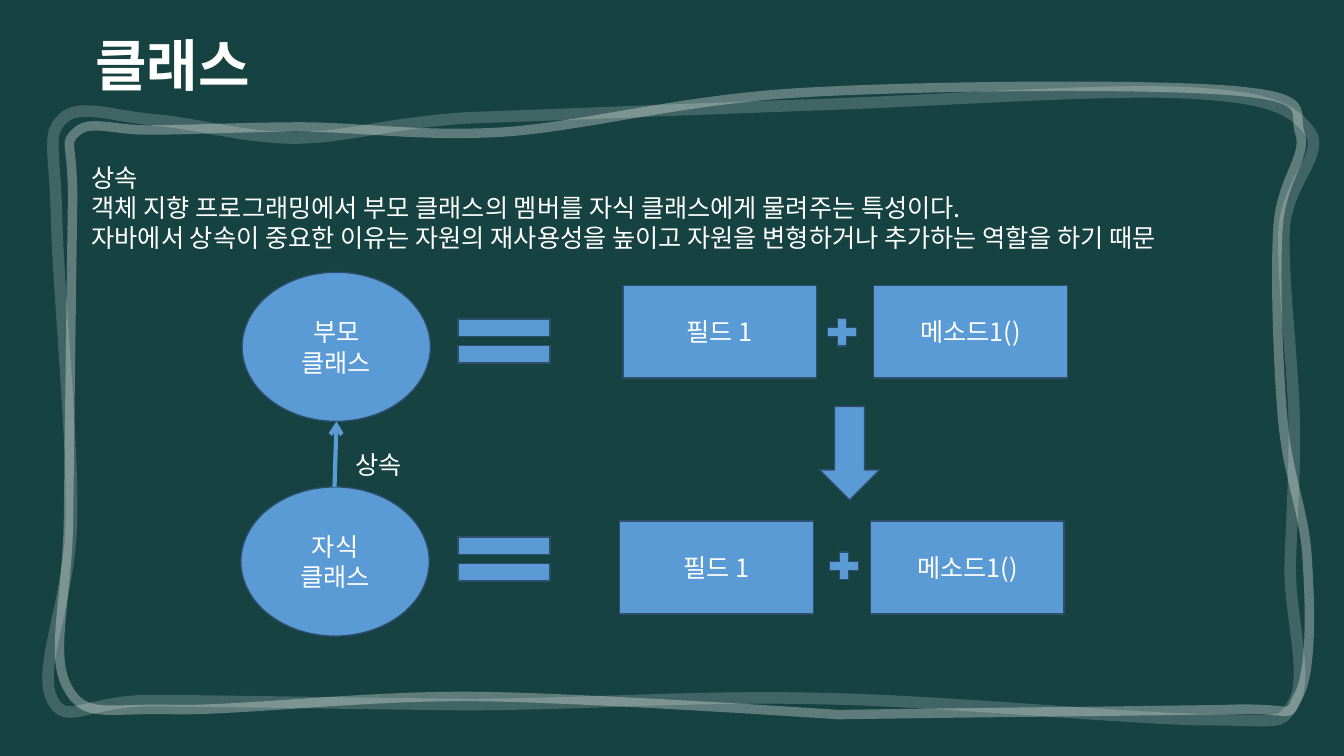
from lxml.etree import SubElement
from pptx import Presentation
from pptx.dml.color import RGBColor
from pptx.enum.shapes import MSO_CONNECTOR as Connector, MSO_SHAPE as Shape
from pptx.enum.text import MSO_ANCHOR as Anchor, MSO_AUTO_SIZE as AutoSize, PP_ALIGN as Align
from pptx.oxml.ns import qn
from pptx.util import Cm, Pt

BOARD = RGBColor(0x16, 0x42, 0x41)
WHITE = RGBColor(0xFF, 0xFF, 0xFF)
BLUE = RGBColor(0x5B, 0x9B, 0xD5)
EDGE = RGBColor(0x2D, 0x4D, 0x6A)
FONT = "Noto Sans CJK KR"

# Frame strokes in hundredths of an inch: a start point, then three points per curve.
INNER_FRAME = [
    (151, 129),
    (114, 130), (89, 118), (76, 131), (62, 143), (73, 140), (72, 204),
    (71, 268), (69, 434), (68, 514), (67, 594), (49, 650), (67, 682),
    (84, 714), (106, 702), (173, 704), (240, 705), (361, 690), (471, 691),
    (580, 692), (832, 709), (832, 709), (960, 707), (1087, 706), (1215, 704),
    (1291, 701), (1275, 716), (1288, 691), (1302, 666), (1300, 600), (1297, 555),
    (1295, 510), (1278, 474), (1273, 419), (1268, 364), (1265, 273), (1268, 226),
    (1271, 178), (1297, 156), (1290, 133), (1282, 111), (1306, 97), (1223, 90),
    (1141, 83), (915, 85), (795, 92), (674, 99), (583, 125), (500, 131),
    (417, 136), (357, 126), (299, 126), (240, 126), (188, 129), (151, 129),
]
OUTER_FRAME = [
    (154, 119),
    (115, 116), (79, 102), (63, 117), (46, 133), (54, 145), (56, 211),
    (57, 276), (72, 430), (71, 510), (71, 591), (37, 661), (51, 692),
    (64, 723), (86, 694), (154, 695), (257, 696), (359, 698), (462, 699),
    (572, 699), (690, 690), (812, 693), (934, 695), (1117, 713), (1196, 714),
    (1274, 714), (1270, 721), (1284, 696), (1298, 671), (1280, 611), (1280, 565),
    (1281, 519), (1285, 474), (1284, 417), (1283, 361), (1272, 276), (1274, 228),
    (1277, 180), (1316, 152), (1299, 130), (1282, 107), (1257, 96), (1175, 92),
    (1093, 88), (930, 100), (808, 104), (693, 108), (577, 113), (462, 117),
    (379, 123), (346, 136), (294, 137), (243, 137), (192, 122), (154, 119),
]


def write(frame, lines, size=18, bold=False, align=None, spacing=None):
    for i, line in enumerate(lines):
        paragraph = frame.paragraphs[0] if i == 0 else frame.add_paragraph()
        paragraph.alignment = align
        paragraph.line_spacing = spacing
        run = paragraph.add_run()
        run.text = line
        run.font.size = Pt(size)
        run.font.bold = bold
        run.font.name = FONT
        run.font.color.rgb = WHITE
        SubElement(run.font._element, qn("a:ea"), typeface=FONT)


def add_text(slide, left, top, width, height, lines, wrap=True, **style):
    frame = slide.shapes.add_textbox(Cm(left), Cm(top), Cm(width), Cm(height)).text_frame
    frame.word_wrap = wrap
    frame.auto_size = AutoSize.SHAPE_TO_FIT_TEXT
    write(frame, lines, **style)


def add_block(slide, kind, left, top, width, height, lines=(), adjustments=()):
    block = slide.shapes.add_shape(kind, Cm(left), Cm(top), Cm(width), Cm(height))
    block.shadow.inherit = False
    block.fill.solid()
    block.fill.fore_color.rgb = BLUE
    block.line.color.rgb = EDGE
    block.line.width = Pt(1)
    for i, value in enumerate(adjustments):
        block.adjustments[i] = value
    block.text_frame.vertical_anchor = Anchor.MIDDLE
    write(block.text_frame, lines, align=Align.CENTER)


def add_frame(slide, points, width, opacity):
    """Draw a closed chalk stroke, turning each three points into one Bézier curve."""
    builder = slide.shapes.build_freeform(*points[0], scale=Cm(2.54) / 100)
    builder.add_line_segments(points[1:], close=True)
    stroke = builder.convert_to_shape()
    stroke.shadow.inherit = False
    stroke.fill.background()
    stroke.line.width = Pt(width)
    stroke.line.color.rgb = WHITE
    color = next(stroke.line._ln.iter(qn("a:srgbClr")))
    SubElement(color, qn("a:alpha"), val=str(opacity * 1000))

    segments = list(stroke._element.iter(qn("a:lnTo")))
    for i in range(0, len(segments), 3):
        curve = segments[i].makeelement(qn("a:cubicBezTo"))
        segments[i].addprevious(curve)
        for segment in segments[i:i + 3]:
            curve.append(segment[0])
            segment.getparent().remove(segment)


def add_arrow(slide, x1, y1, x2, y2):
    arrow = slide.shapes.add_connector(Connector.STRAIGHT, Cm(x1), Cm(y1), Cm(x2), Cm(y2))
    arrow.line.color.rgb = BLUE
    arrow.line.width = Pt(3)
    SubElement(arrow.line._ln, qn("a:tailEnd"), type="arrow")
    SubElement(arrow._element.spPr, qn("a:effectLst"))


def add_class_row(slide, name, class_at, equal_top, field_at, plus_at):
    """Draw one equation: class = field + method."""
    field_left, member_top = field_at
    add_block(slide, Shape.OVAL, *class_at, 4.75, 3.76, [name, "클래스"])
    add_block(slide, Shape.MATH_EQUAL, 11.13, equal_top, 3.15, 1.85, adjustments=(0.24, 0.12))
    for i, member in enumerate(["필드 1", "메소드1()"]):
        add_block(slide, Shape.RECTANGLE, field_left + i * 6.32, member_top, 4.88, 2.34, [member])
    add_block(slide, Shape.MATH_PLUS, *plus_at, 0.99, 0.94, adjustments=(0.24,))


def main():
    deck = Presentation()
    deck.slide_width, deck.slide_height = Cm(33.87), Cm(19.05)
    slide = deck.slides.add_slide(deck.slide_layouts[6])
    slide.background.fill.solid()
    slide.background.fill.fore_color.rgb = BOARD

    add_text(slide, 2.16, -0.2, 15.08, 2.79, ["클래스"], size=40, bold=True, spacing=1.5)
    add_frame(slide, INNER_FRAME, 6.75, 31)
    add_frame(slide, OUTER_FRAME, 8.25, 18)
    add_text(slide, 2.06, 3.96, 30.73, 2.51, [
        "상속",
        "객체 지향 프로그래밍에서 부모 클래스의 멤버를 자식 클래스에게 물려주는 특성이다.",
        "자바에서 상속이 중요한 이유는 자원의 재사용성을 높이고 자원을 변형하거나 추가하는 역할을 하기 때문",
    ])

    add_class_row(slide, "부모", (6.1, 6.86), 7.67, (15.7, 7.19), (20.73, 7.9))
    add_class_row(slide, "자식", (6.07, 12.27), 13.16, (15.62, 13.13), (20.78, 13.79))
    add_arrow(slide, 8.43, 12.27, 8.48, 10.62)
    add_text(slide, 8.71, 11.2, 1.8, 1.02, ["상속"], wrap=False)
    add_block(slide, Shape.DOWN_ARROW, 20.65, 10.24, 1.52, 2.36)

    deck.save("out.pptx")


if __name__ == "__main__":
    main()
